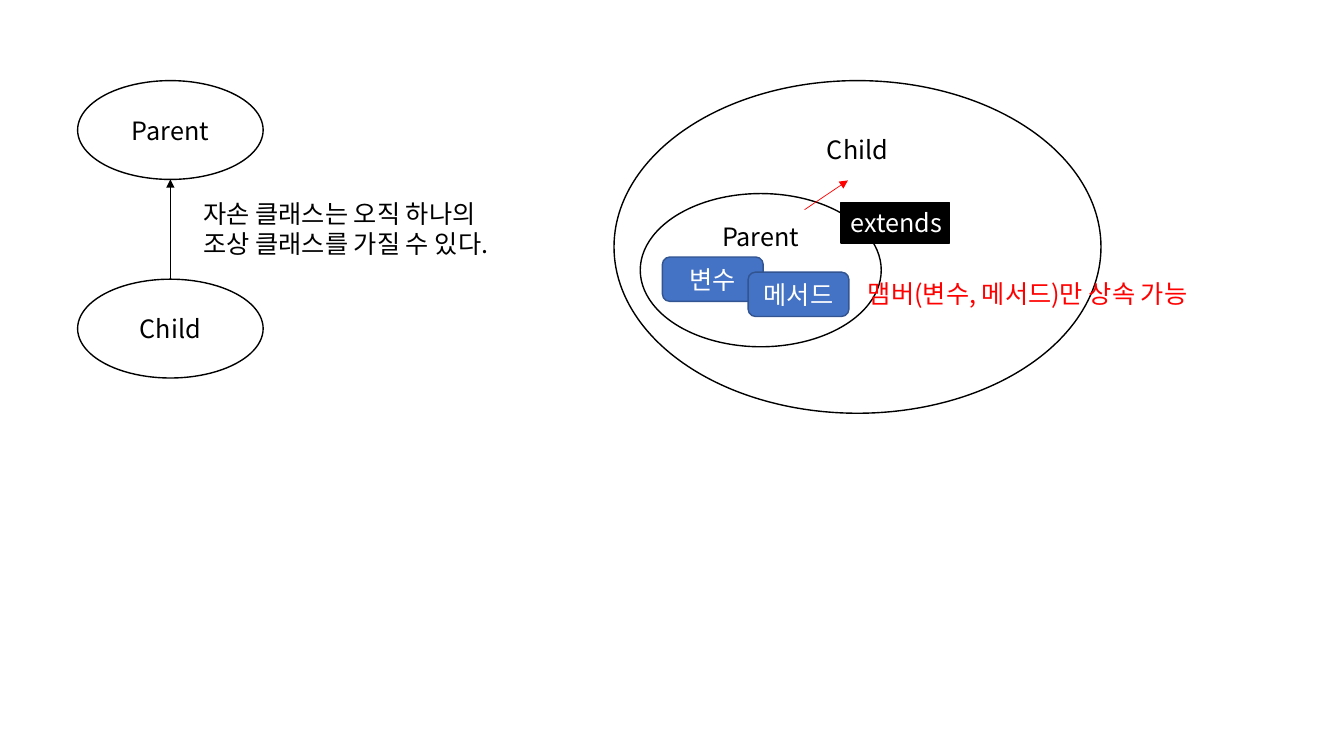
import lxml.etree
import pptx
import pptx.dml.color
import pptx.enum.shapes
import pptx.enum.text
import pptx.oxml.ns
import pptx.util

PX = 9144  # 100 px to the inch
FONT = "Noto Sans CJK KR"
COLORS = {
    "black": "000000",
    "white": "FFFFFF",
    "red": "FF0000",
    "blue": "4472C4",
    "dark blue": "325491",
}
SHAPES = pptx.enum.shapes.MSO_SHAPE
ALIGN = pptx.enum.text.PP_ALIGN
ANCHOR = pptx.enum.text.MSO_ANCHOR
FIT_SHAPE = {"word_wrap": False,
             "auto_size": pptx.enum.text.MSO_AUTO_SIZE.SHAPE_TO_FIT_TEXT}
TOP = {"word_wrap": True, "vertical_anchor": ANCHOR.TOP}
MIDDLE = {"word_wrap": True, "vertical_anchor": ANCHOR.MIDDLE}
# Without a right margin the whole keyword fits on one line.
KEYWORD = {**FIT_SHAPE, "vertical_anchor": ANCHOR.TOP, "margin_right": 0}


def rgb(color):
    return pptx.dml.color.RGBColor.from_string(COLORS[color])


def to_emu(*lengths):
    return [length * PX for length in lengths]


def write_text(shape, lines, color, align, frame_format):
    frame = shape.text_frame
    for name, value in frame_format.items():
        setattr(frame, name, value)
    for index, line in enumerate(lines):
        paragraph = frame.paragraphs[0] if index == 0 else frame.add_paragraph()
        paragraph.alignment = align
        run = paragraph.add_run()
        run.text = line
        for name, value in {"name": FONT, "size": pptx.util.Pt(18)}.items():
            setattr(run.font, name, value)
        run.font.color.rgb = rgb(color)
        east_asian = lxml.etree.SubElement(
            run._r.get_or_add_rPr(), pptx.oxml.ns.qn("a:ea"))
        east_asian.set("typeface", FONT)


def add_label(slide, box, lines, color):
    shape = slide.shapes.add_textbox(*to_emu(*box))
    write_text(shape, lines, color, ALIGN.LEFT, FIT_SHAPE)


def add_node(slide, kind, box, text, fill, line, color,
             align=ALIGN.CENTER, frame_format=MIDDLE):
    shape = slide.shapes.add_shape(kind, *to_emu(*box))
    shape.shadow.inherit = False
    shape.fill.solid()
    shape.fill.fore_color.rgb = rgb(fill)
    shape.line.color.rgb = rgb(line)
    shape.line.width = pptx.util.Pt(1)
    write_text(shape, [text], color, align, frame_format)
    return shape


def add_ellipse(slide, box, text, frame_format):
    return add_node(slide, SHAPES.OVAL, box, text, "white", "black", "black",
                    frame_format=frame_format)


def add_arrow(slide, start, end, color):
    connector = slide.shapes.add_connector(
        pptx.enum.shapes.MSO_CONNECTOR.STRAIGHT, *to_emu(*start, *end))
    connector.line.color.rgb = rgb(color)
    connector.line.width = pptx.util.Pt(0.5)
    head = lxml.etree.SubElement(
        connector.line._get_or_add_ln(), pptx.oxml.ns.qn("a:tailEnd"))
    head.set("type", "triangle")
    lxml.etree.SubElement(
        connector._element.spPr, pptx.oxml.ns.qn("a:effectLst"))
    return connector


def add_hierarchy(slide, left, top):
    """Child below Parent, joined by an arrow, with the rule beside it."""
    width, height, step = 184, 98, 197
    center = left + width // 2
    add_ellipse(slide, (left, top, width, height), "Parent", MIDDLE)
    child = add_ellipse(slide, (left, top + step, width, height), "Child", MIDDLE)
    arrow = add_arrow(slide, (center, top + step), (center, top + height), "black")
    arrow.begin_connect(child, 0)
    add_label(slide, (left + 115, top + 112, 348, 71),
              ["자손 클래스는 오직 하나의", "조상 클래스를 가질 수 있다."], "black")


def add_containment(slide, left, top):
    """Parent and its members inside the larger Child."""
    add_ellipse(slide, (left, top, 483, 330), "Child", TOP)
    add_ellipse(slide, (left + 26, top + 112, 239, 152), "Parent", TOP)
    add_node(slide, SHAPES.RECTANGLE, (left + 225, top + 121, 108, 40), "extends",
             "black", "black", "white", ALIGN.LEFT, KEYWORD)
    add_arrow(slide, (left + 189, top + 128), (left + 232, top + 99), "red")
    add_label(slide, (left + 242, top + 191, 371, 40),
              ["맴버(변수, 메서드)만 상속 가능"], "red")
    for index, member in enumerate(["변수", "메서드"]):
        box = (left + 48 + 85 * index, top + 175 + 15 * index, 100, 44)
        add_node(slide, SHAPES.ROUNDED_RECTANGLE, box, member,
                 "blue", "dark blue", "white")


def main():
    presentation = pptx.Presentation()
    presentation.slide_width, presentation.slide_height = to_emu(1333, 750)
    slide = presentation.slides.add_slide(presentation.slide_layouts[6])
    add_hierarchy(slide, 77, 80)
    add_containment(slide, 609, 80)
    presentation.save("out.pptx")


if __name__ == "__main__":
    main()
